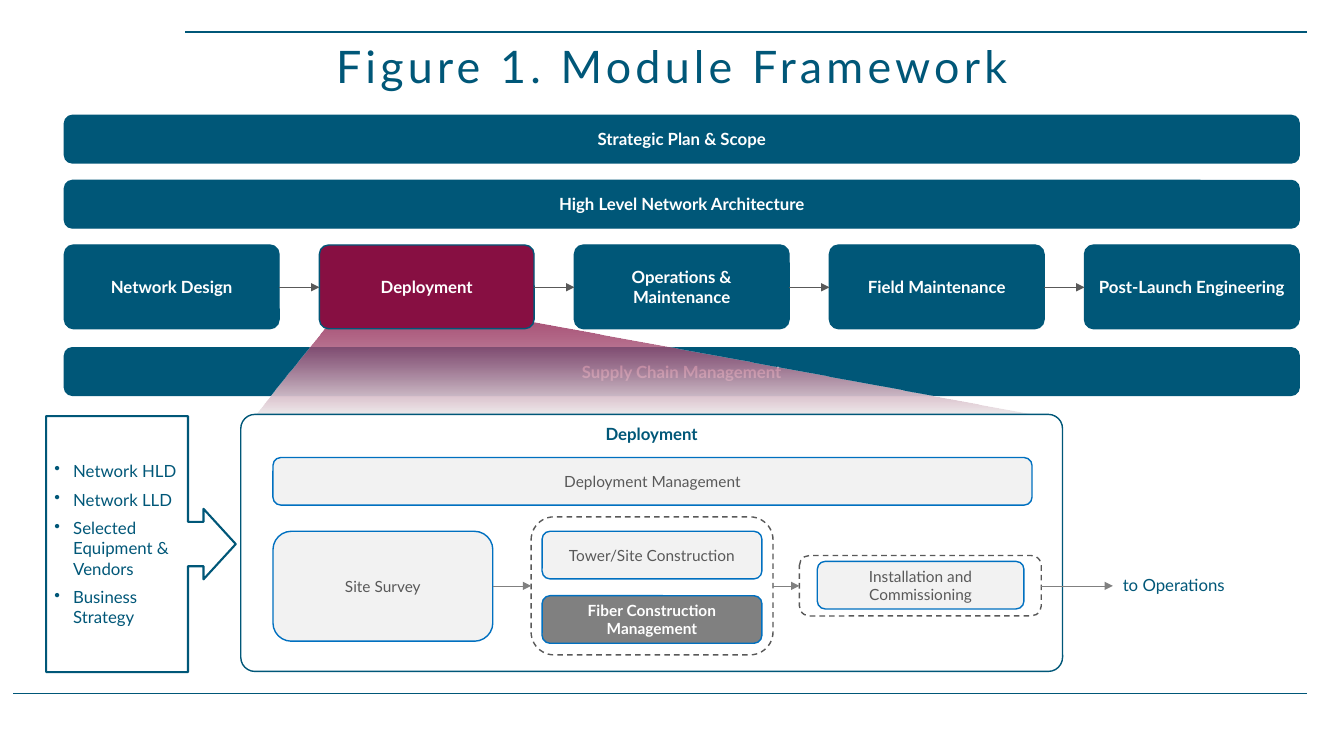
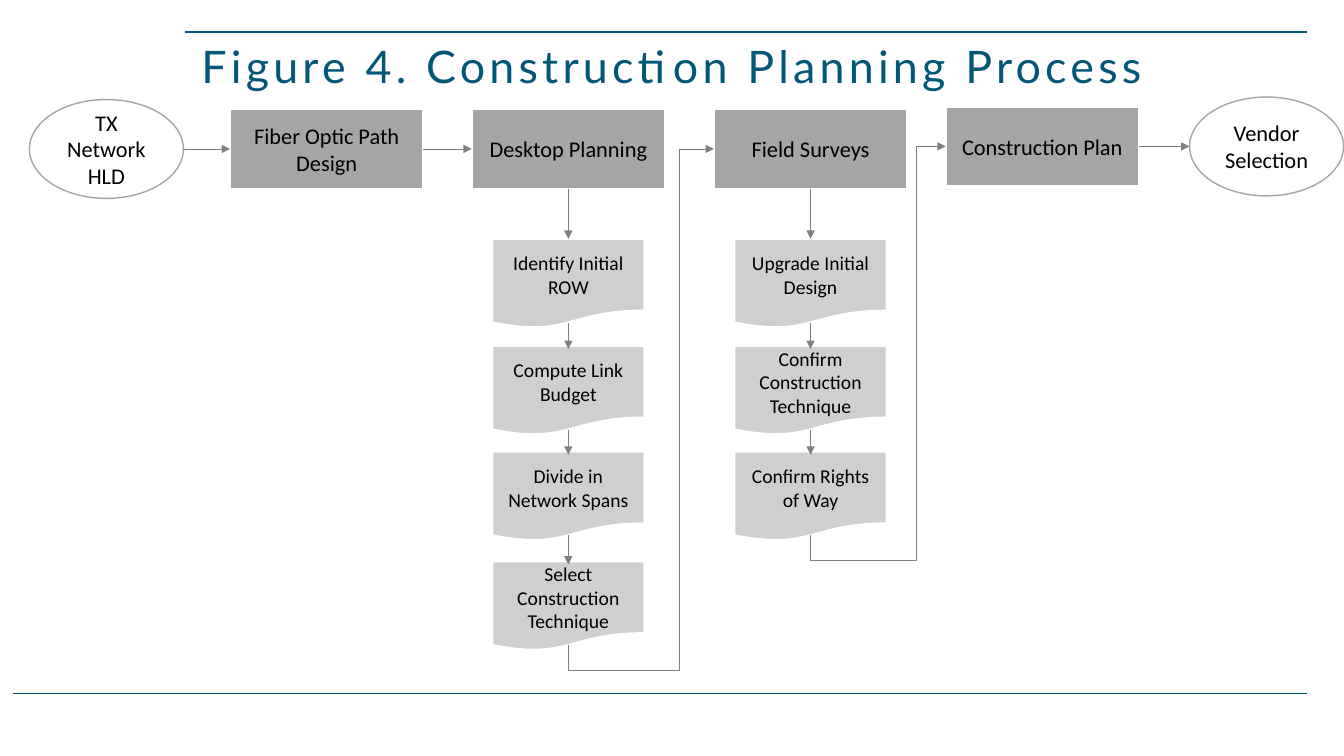
from lxml.etree import SubElement
from pptx import Presentation
from pptx.dml.color import RGBColor
from pptx.enum.dml import MSO_LINE
from pptx.enum.shapes import MSO_CONNECTOR, MSO_SHAPE
from pptx.enum.text import MSO_ANCHOR, PP_ALIGN
from pptx.oxml.ns import qn
from pptx.util import Pt

HUES = {
    "teal": "005778", "wine": "870F42", "white": "FFFFFF", "black": "000000",
    "blue": "0070C0", "pale": "F2F2F2", "dark": "595959", "gray": "808080",
    "step": "A5A5A5", "sheet": "D0CECE",
}
ROUND = MSO_SHAPE.ROUNDED_RECTANGLE
DOC_W, DOC_H = 108.8, 64
STEP_W, STEP_H = 138.2, 57


def hue(name):
    return RGBColor.from_string(HUES[name])


def put(shape, text, size=12, color="white", bold=False, font="Lato",
        align=PP_ALIGN.CENTER, anchor=MSO_ANCHOR.MIDDLE, wrap=True,
        leading=None, space=0, bullet=False, before=0):
    """Write one paragraph per line of text into the shape."""
    frame = shape.text_frame
    frame.word_wrap = wrap
    frame.vertical_anchor = anchor
    for i, line in enumerate(text.split("\n")):
        para = frame.add_paragraph() if i else frame.paragraphs[0]
        para.alignment = align
        para.space_before = Pt(before)
        if leading:
            para.line_spacing = leading
        if bullet:
            props = para._p.get_or_add_pPr()
            props.set("marL", str(Pt(13.5)))
            props.set("indent", str(Pt(-13.5)))
            SubElement(props, qn("a:buChar"), char="•")
        run = para.add_run()
        run.text = line
        run.font.size = Pt(size)
        run.font.bold = bold
        run.font.name = font
        run.font.color.rgb = hue(color)
        if space:
            run._r.get_or_add_rPr().set("spc", str(space * 100))


def box(slide, kind, x, y, w, h, fill=None, line="teal", weight=1, adj=(),
        dash=False):
    shape = slide.shapes.add_shape(kind, Pt(x), Pt(y), Pt(w), Pt(h))
    shape.shadow.inherit = False
    if fill:
        shape.fill.solid()
        shape.fill.fore_color.rgb = hue(fill)
    else:
        shape.fill.background()
    shape.line.color.rgb = hue(line)
    shape.line.width = Pt(weight)
    if dash:
        shape.line.dash_style = MSO_LINE.DASH
    for i, value in enumerate(adj):
        shape.adjustments[i] = value
    return shape


def rule(slide, x1, y1, x2, y2, color="gray", weight=0.5, head=True,
         kind=MSO_CONNECTOR.STRAIGHT):
    line = slide.shapes.add_connector(kind, Pt(x1), Pt(y1), Pt(x2), Pt(y2))
    line.line.color.rgb = hue(color)
    line.line.width = Pt(weight)
    if head:
        SubElement(line.line._get_or_add_ln(), qn("a:tailEnd"), type="triangle")
    SubElement(line._element.spPr, qn("a:effectLst"))
    return line


def elbow(slide, x1, y1, x2, y2, drop, bend):
    """Arrow that goes down by drop, right by bend, up to y2, then to x2."""
    long, wide = y1 - y2, x2 - x1
    left, top = (x1 + x2 - long) / 2, (y1 + y2 - wide) / 2
    line = rule(slide, left, top, left + long, top + wide,
                kind=MSO_CONNECTOR.ELBOW)
    props = line._element.spPr
    frame = props.find(qn("a:xfrm"))
    for key, value in (("rot", "5400000"), ("flipH", "1"), ("flipV", "1")):
        frame.set(key, value)
    geom = props.find(qn("a:prstGeom"))
    geom.set("prst", "bentConnector4")
    guides = geom.find(qn("a:avLst"))
    if guides is None:
        guides = SubElement(geom, qn("a:avLst"))
    for name, ratio in (("adj1", -drop / long), ("adj2", bend / wide)):
        SubElement(guides, qn("a:gd"), name=name,
                   fmla=f"val {round(ratio * 100000)}")


def label(slide, text, x, y, w, h, **form):
    put(slide.shapes.add_textbox(Pt(x), Pt(y), Pt(w), Pt(h)), text, **form)


def start(deck, title):
    """Add a slide with the shared rules and title."""
    slide = deck.slides.add_slide(deck.slide_layouts[6])
    for x, y in ((132.5, 23), (9.4, 495.4)):
        rule(slide, x, y, 933.8, y, color="teal", weight=1, head=False)
    label(slide, title, 0, 26, 960, 43.2, size=32, color="teal",
          anchor=MSO_ANCHOR.BOTTOM, leading=0.8, space=3)
    return slide


def band(slide, text, y):
    put(box(slide, ROUND, 46, y, 882, 34, "teal"), text, bold=True)


def beam(slide):
    """Fading wedge from the stage to its detail panel."""
    form = slide.shapes.build_freeform(Pt(236.2), Pt(229.7))
    form.add_line_segments([(Pt(x), Pt(y)) for x, y in (
        (182.9, 295.2), (751.7, 298), (378, 229.7))], close=True)
    shape = form.convert_to_shape()
    shape.shadow.inherit = False
    shape.line.fill.background()
    shape.fill.gradient()
    shape.fill.gradient_angle = 270
    for stop, name in zip(shape.fill.gradient_stops, ("wine", "pale")):
        stop.color.rgb = hue(name)
    first = shape._element.xpath(".//a:gradFill//a:srgbClr")[0]
    SubElement(first, qn("a:alpha"), val="71000")


def stages(slide):
    names = ("Network Design", "Deployment", "Operations & Maintenance",
             "Field Maintenance", "Post-Launch Engineering")
    gap = 28.8
    wide = (882 - gap * (len(names) - 1)) / len(names)
    for i, name in enumerate(names):
        x = 46 + i * (wide + gap)
        fill = "wine" if name == "Deployment" else "teal"
        put(box(slide, ROUND, x, 175, wide, 59.8, fill, adj=[0.11]),
            name, bold=True)
        if i:
            rule(slide, x - gap, 205.2, x, 205.2, color="dark")


def panel(slide):
    put(box(slide, ROUND, 172, 296, 587, 183.6, "white", adj=[0.055]),
        "Deployment", color="teal", bold=True, anchor=MSO_ANCHOR.TOP)
    for text, x, y, w, h in (
            ("Deployment Management", 195, 326.8, 542.2, 34),
            ("Site Survey", 195, 379.5, 157, 78.5),
            ("Tower/Site Construction", 387.2, 379.5, 157, 34),
            ("Installation and Commissioning", 583.8, 401, 147.6, 34)):
        put(box(slide, ROUND, x, y, w, h, "pale", "blue"), text, size=11,
            color="dark")
    put(box(slide, ROUND, 387.2, 425.5, 157, 34, "gray", "blue"),
        "Fiber Construction Management", size=11, bold=True)
    for x, y, h in ((379.4, 369.2, 98.6), (571, 396.8, 43.2)):
        box(slide, ROUND, x, y, 172.8, h, line="dark", dash=True)
    for x1, x2 in ((352, 379.4), (552.2, 571), (743.8, 794.9)):
        rule(slide, x1, 418.5, x2, 418.5)
    label(slide, "to Operations", 794.9, 407, 87.8, 21.6, color="teal",
          align=PP_ALIGN.LEFT, anchor=MSO_ANCHOR.TOP, wrap=False)


def inputs(slide):
    shape = box(slide, MSO_SHAPE.RIGHT_ARROW_CALLOUT, 33, 297.2, 135.4, 182.9,
                weight=1.5, adj=[0.234, 0.186, 0.17, 0.748])
    shape.text_frame.margin_left = shape.text_frame.margin_right = Pt(5.8)
    put(shape, "Network HLD\nNetwork LLD\nSelected Equipment & Vendors\n"
        "Business Strategy", color="teal", align=PP_ALIGN.LEFT, bullet=True,
        before=6)


def oval(slide, text, mid, y):
    put(box(slide, MSO_SHAPE.FLOWCHART_CONNECTOR, mid - 55, y - 35.3, 110,
            70.6, "white", "step"), text, size=16, color="black",
        font="Calibri")


def step(slide, text, mid, y):
    put(box(slide, MSO_SHAPE.RECTANGLE, mid - STEP_W / 2, y - STEP_H / 2,
            STEP_W, STEP_H, "step", "white", 1.5), text, size=16,
        color="black", font="Calibri")


def column(slide, mid, y, names):
    """Stack documents below a step; return where the last arrow starts."""
    tops = (170.6, 247, 322.6, 401)
    for name, top in zip(names, tops):
        put(box(slide, MSO_SHAPE.FLOWCHART_DOCUMENT, mid - DOC_W / 2, top,
                DOC_W, DOC_H, "sheet", "white", 1.5), name, size=14,
            color="black", font="Calibri")
    rule(slide, mid, y + STEP_H / 2, mid, tops[0])
    for top, below in zip(tops, tops[1:len(names)]):
        rule(slide, mid, top + 59.8, mid, below + 2.2)
    return tops[len(names) - 1] + 59.8


def modules(deck):
    slide = start(deck, "Figure 1. Module Framework")
    band(slide, "Supply Chain Management", 248.4)
    beam(slide)
    band(slide, "Strategic Plan & Scope", 82.4)
    band(slide, "High Level Network Architecture", 128.9)
    stages(slide)
    panel(slide)
    inputs(slide)


def process(deck):
    slide = start(deck, "Figure 4. Construction Planning Process")
    high, low = 104.6, 106.4
    path, desk, field, plan = 233.4, 406, 579, 744.5
    half = STEP_W / 2
    oval(slide, "TX Network HLD", 76, low)
    step(slide, "Fiber Optic Path Design", path, low)
    step(slide, "Desktop Planning", desk, low)
    step(slide, "Field Surveys", field, low)
    step(slide, "Construction Plan", plan, high)
    oval(slide, "Vendor Selection", 904.7, high)
    for x1, x2, y in ((131, path - half, low), (path + half, desk - half, low),
                      (plan + half, 849.7, high)):
        rule(slide, x1, y, x2, y)
    end = column(slide, desk, low, (
        "Identify Initial ROW", "Compute Link Budget",
        "Divide in Network Spans", "Select Construction Technique"))
    elbow(slide, desk, end, field - half, low, 18, 79.2)
    end = column(slide, field, low, (
        "Upgrade Initial Design", "Confirm Construction Technique",
        "Confirm Rights of Way"))
    elbow(slide, field, end, plan - half, high, 18, 75.6)


def main():
    deck = Presentation()
    deck.slide_width, deck.slide_height = Pt(960), Pt(540)
    modules(deck)
    process(deck)
    deck.save("out.pptx")


if __name__ == "__main__":
    main()
